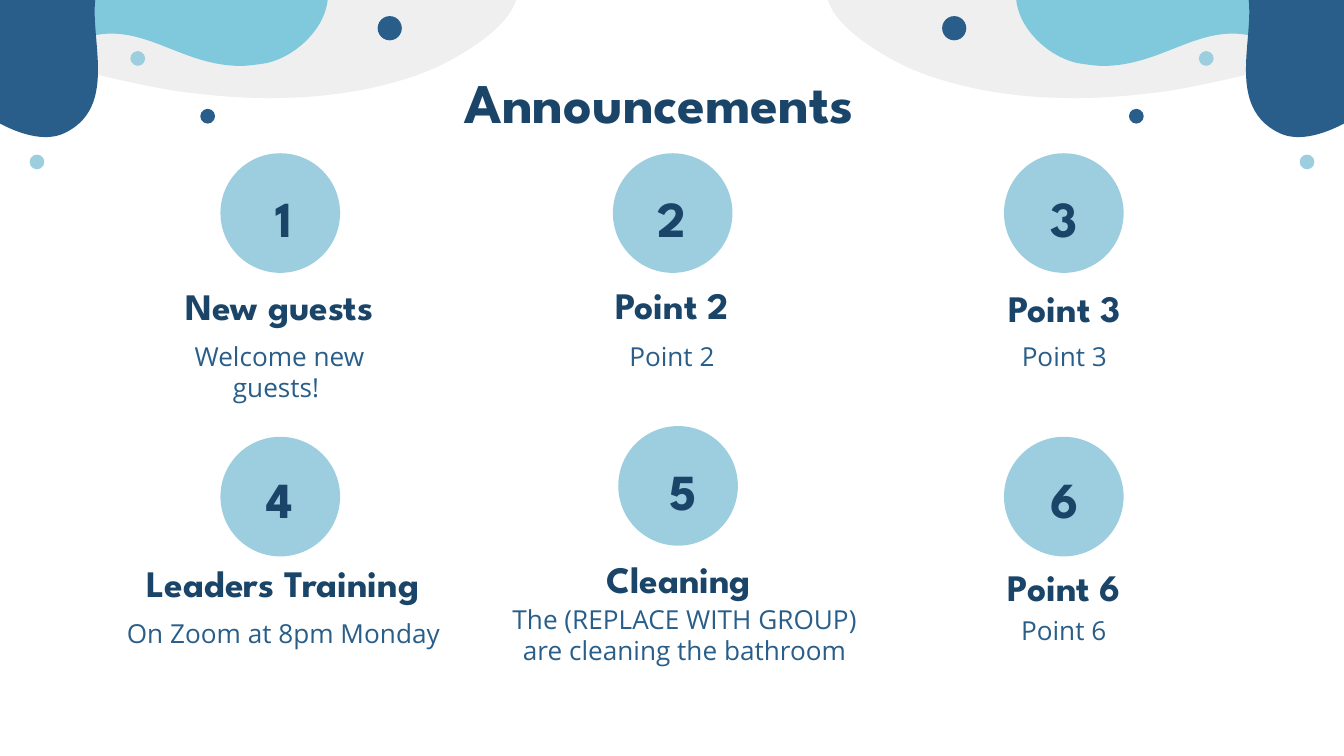
"""Build an announcements slide with six numbered points and mirrored corner shapes."""
from lxml.etree import SubElement
from pptx import Presentation
from pptx.dml.color import RGBColor
from pptx.enum.shapes import MSO_SHAPE
from pptx.enum.text import MSO_ANCHOR, MSO_AUTO_SIZE, PP_ALIGN
from pptx.oxml.ns import qn
from pptx.util import Emu, Pt

PX = 9144
WIDE = 1000
HEX = {"gray": "EFEFEF", "aqua": "80C9DD", "navy": "285E89", "pale": "9DCEDF", "ink": "1A4568"}

deck = Presentation()
deck.slide_width, deck.slide_height = Emu(WIDE * PX), Emu(5143500)
slide = deck.slides.add_slide(deck.slide_layouts[5])
shapes = slide.shapes


def paint(shape, color):
    shape.shadow.inherit = False
    shape.fill.solid()
    shape.fill.fore_color.rgb = RGBColor.from_string(HEX[color])
    shape.line.fill.background()


def write(text, left, top, width, height, size=20, face="League Spartan", color="ink",
          bold=True, anchor=MSO_ANCHOR.MIDDLE, box=None):
    spot = [Emu(n * PX) for n in (left, top, width, height)]
    box = box or shapes.add_textbox(*spot)
    box.left, box.top, box.width, box.height = spot
    frame = box.text_frame
    frame.word_wrap = True
    frame.auto_size = MSO_AUTO_SIZE.NONE
    frame.vertical_anchor = anchor
    frame.margin_left = frame.margin_right = Emu(10 * PX)
    frame.margin_top = frame.margin_bottom = Emu(10 * PX)
    line = frame.paragraphs[0]
    line.alignment = PP_ALIGN.CENTER
    run = line.add_run()
    run.text = text
    run.font.size, run.font.name, run.font.bold = Pt(size), face, bold
    run.font.color.rgb = RGBColor.from_string(HEX[color])


blobs = [
    ("gray", (-226, -23), [
        (-149, -23, -72, -21, 5, -19), (77, -18, 150, -17, 223, -17),
        (259, -17, 294, -17, 330, -17), (334, -17, 338, -18, 343, -18),
        (363, -18, 389, -16, 384, 0), (378, 20, 348, 39, 325, 50),
        (289, 66, 245, 73, 202, 73), (201, 73, 200, 73, 199, 73),
        (177, 73, 155, 71, 133, 68),
        (106, 64, 79, 57, 52, 51), (-16, 34, -86, 18, -157, 10),
        (-196, 7, -235, 5, -275, 5), (-305, 5, -335, 6, -365, 7),
        (-364, -2, -364, -11, -364, -20), (-318, -22, -272, -23, -226, -23)]),
    ("aqua", (179, 49), [
        (185, 49, 191, 48, 198, 47), (221, 42, 243, 20, 244, -2),
        (245, -18, 237, -40, 216, -52), (208, -56, 202, -58, 195, -58),
        (190, -58, 185, -57, 180, -56), (121, -45, 61, -33, 1, -33),
        (-5, -33, -10, -33, -16, -33), (-12, -21, -12, -9, -9, 2),
        (-5, 14, 3, 32, 16, 38), (20, 39, 23, 39, 26, 39),
        (42, 39, 57, 26, 81, 25), (82, 25, 82, 25, 83, 25),
        (115, 25, 141, 49, 179, 49)]),
    ("navy", (131, -88), [
        (136, -81, 139, -72, 137, -60), (131, -34, 89, -39, 75, -14),
        (59, 14, 94, 77, 48, 99), (19, 113, -34, 75, -57, 42),
        (-62, 35, -66, 28, -68, 22), (-68, 21, -45, -8, -42, -11),
        (-12, -36, 20, -58, 54, -77), (70, -87, 87, -95, 104, -103),
        (108, -105, 106, -105, 112, -103), (117, -102, 125, -96, 131, -88)]),
]
dots = [("navy", 281, 12, 18), ("pale", 97, 38, 11), ("pale", 22, 115, 11), ("navy", 149, 81, 11)]

for flip in (True, False):
    for color, start, curves in blobs:
        trail = [start] + [curve[4:] for curve in curves]
        trail = [((WIDE - x if flip else x) * PX, y * PX) for x, y in trail]
        pen = shapes.build_freeform(*trail[0])
        pen.add_line_segments(trail[1:], close=True)
        blob = pen.convert_to_shape()
        paint(blob, color)
        sides = list(blob.element.iter(qn("a:lnTo")))
        for side, curve in zip(sides, curves):
            bend = side.makeelement(qn("a:cubicBezTo"))
            for x, y in zip(curve[::2], curve[1::2]):
                x = WIDE - x if flip else x
                SubElement(bend, qn("a:pt"), x=str(x * PX - blob.left), y=str(y * PX - blob.top))
            side.getparent().replace(side, bend)
    for color, x, y, size in dots:
        left = WIDE - x - size if flip else x
        paint(shapes.add_shape(MSO_SHAPE.OVAL, left * PX, y * PX, size * PX, size * PX), color)

write("Announcements", 260, 40, 461, 63, size=30, anchor=MSO_ANCHOR.TOP, box=shapes.title)

points = [
    ("New guests", "Welcome new guests! ", (164, 114), (187, 142), (72, 208, 272), (103, 243, 210, 68)),
    ("Point 2", "Point 2", (456, 114), (476, 142), (344, 207, 312), (395, 243, 210, 68)),
    ("Point 3", "Point 3", (747, 114), (768, 142), (656, 209, 272), (687, 243, 210, 68)),
    ("Leaders Training", "On Zoom at 8pm Monday", (164, 325), (184, 351), (57, 414, 307), (75, 449, 272, 101)),
    ("Cleaning", "The (REPLACE WITH GROUP) are cleaning the bathroom",
     (460, 317), (484, 345), (369, 411, 272), (361, 439, 297, 68)),
    ("Point 6", "Point 6", (747, 325), (768, 351), (656, 417, 272), (636, 447, 311, 68)),
]
for count, (head, body, disc, digit, top, base) in enumerate(points, 1):
    x, y = disc
    paint(shapes.add_shape(MSO_SHAPE.OVAL, x * PX, y * PX, 89 * PX, 89 * PX), "pale")
    write(str(count), *digit, 48, 39, size=27)
    write(head, *top, 39)
    write(body, *base, size=14, face="Open Sans", color="navy", bold=False, anchor=MSO_ANCHOR.TOP)

deck.save("out.pptx")
